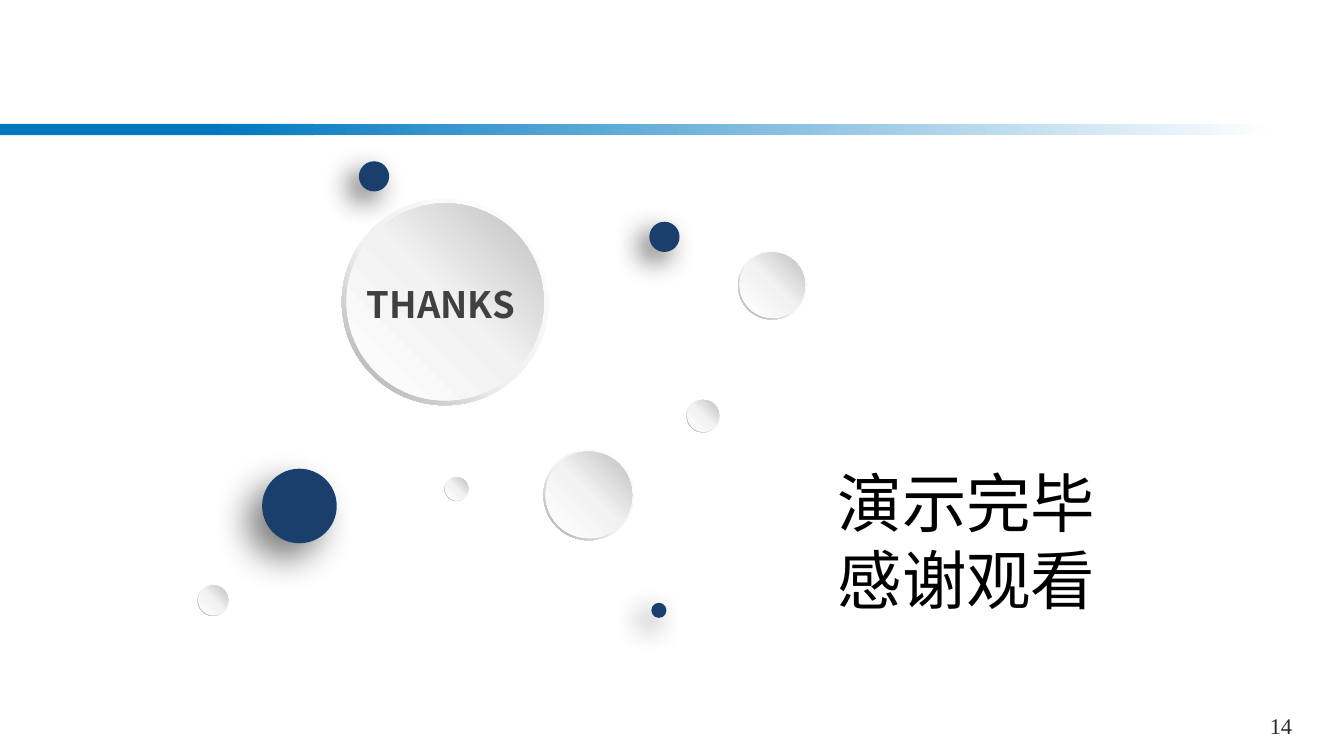
from lxml.etree import SubElement as Sub
from pptx import Presentation
from pptx.dml.color import RGBColor
from pptx.enum.shapes import MSO_SHAPE as Shape
from pptx.enum.text import MSO_ANCHOR as Anchor, MSO_AUTO_SIZE as AutoSize, PP_ALIGN as Align
from pptx.oxml.ns import qn
from pptx.util import Inches, Pt

COLORS = {"blue": "0078BF", "navy": "1A3F6C", "white": "FFFFFF", "pale": "F2F2F2",
          "silver": "BFBFBF", "gray": "A6A6A6", "dark": "404040", "number": "292929",
          "black": "000000"}
SANS, SERIF = "Noto Sans CJK SC", "Times New Roman"
RIM = 0.049
RIM_FILL = ([(0, "white"), (55, "pale"), (100, "gray")], 135)
FACE_FILL = ([(0, "white"), (51, "pale"), (100, "silver")], 315)
BAR_FILL = ([(0, "blue"), (100, "white")], 0)

# left, top, diameter
BUTTONS = [(3.39, 1.97, 2.05), (6.81, 3.96, 0.33), (7.32, 2.49, 0.68),
           (4.41, 4.73, 0.24), (1.96, 5.8, 0.31), (5.39, 4.46, 0.9)]
# left, top, diameter, shadow (opacity, blur, distance)
SMALL_SHADOW = (60, 20, 10)
DOTS = [(2.6, 4.65, 0.74, (50, 25, 15)), (3.56, 1.6, 0.3, SMALL_SHADOW),
        (6.44, 2.2, 0.3, SMALL_SHADOW), (6.46, 5.98, 0.15, SMALL_SHADOW)]


def rgb(name):
    """Return the named colour."""
    return RGBColor.from_string(COLORS[name])


def add_color(parent, name):
    """Add an RGB colour element under parent."""
    return Sub(parent, qn("a:srgbClr"), val=COLORS[name])


def fill_gradient(sp, stops, angle):
    """Give a shape a linear gradient with any number of stops."""
    sp.fill.gradient()
    grad = sp._element.spPr.find(qn("a:gradFill"))
    for child in list(grad):
        grad.remove(child)
    stop_list = Sub(grad, qn("a:gsLst"))
    for position, name in stops:
        add_color(Sub(stop_list, qn("a:gs"), pos=str(position * 1000)), name)
    Sub(grad, qn("a:lin"), ang=str(angle * 60000), scaled="0")


def add_shape(shapes, kind, box, fill):
    """Add a borderless shape with a plain or gradient fill."""
    sp = shapes.add_shape(kind, *map(Inches, box))
    sp.shadow.inherit = False
    sp.line.fill.background()
    if isinstance(fill, str):
        sp.fill.solid()
        sp.fill.fore_color.rgb = rgb(fill)
    else:
        fill_gradient(sp, *fill)
    return sp


def write_text(sp, box, lines, font, color, align=Align.LEFT, anchor=Anchor.TOP, wrap=False):
    """Place a text shape and write its formatted lines."""
    for name, value in zip(("left", "top", "width", "height"), box):
        setattr(sp, name, Inches(value))
    tf = sp.text_frame
    for name, value in {"word_wrap": wrap, "auto_size": AutoSize.NONE,
                        "vertical_anchor": anchor}.items():
        setattr(tf, name, value)
    tf.text = "\n".join(lines)
    for p in tf.paragraphs:
        p.alignment = align
        for r in p.runs:
            for name, value in font.items():
                setattr(r.font, name, value)
            r.font.color.rgb = rgb(color)
            Sub(r.font._element, qn("a:ea"), typeface=font["name"])


def add_header_bar(s, left, top, width, height):
    """Draw the header bar: a solid start that fades out to the right."""
    add_shape(s.shapes, Shape.RECTANGLE, (left, top, 3.11, height), "blue")
    fade = 2.11
    add_shape(s.shapes, Shape.RECTANGLE, (left + fade, top, width - fade, height), BAR_FILL)


def add_button(s, left, top, size):
    """Draw a raised round button: a shaded rim around a shaded face."""
    group = s.shapes.add_group_shape()
    rim = add_shape(group.shapes, Shape.DONUT, (left, top, size, size), RIM_FILL)
    rim.adjustments[0] = RIM
    inset = size * 0.023
    face = size - 2 * inset
    add_shape(group.shapes, Shape.OVAL, (left + inset, top + inset, face, face), FACE_FILL)


def add_dot(s, left, top, size, shadow):
    """Draw a navy dot that casts a soft shadow down and left."""
    sp = add_shape(s.shapes, Shape.OVAL, (left, top, size, size), "navy")
    opacity, blur, distance = shadow
    outer = Sub(sp._element.spPr.find(qn("a:effectLst")), qn("a:outerShdw"),
                blurRad=str(Pt(blur)), dist=str(Pt(distance)), dir=str(135 * 60000),
                algn="tr", rotWithShape="0")
    Sub(add_color(outer, "black"), qn("a:alpha"), val=str(opacity * 1000))


def add_bubbles(s, left, top):
    """Scatter buttons and dots, then label the large button."""
    first_left, first_top, size = BUTTONS[0]
    dx, dy = left - first_left, top - first_top
    for x, y, diameter in BUTTONS:
        add_button(s, x + dx, y + dy, diameter)
    for x, y, diameter, shadow in DOTS:
        add_dot(s, x + dx, y + dy, diameter, shadow)
    label = s.shapes.add_textbox(0, 0, 0, 0)
    write_text(label, (left + 0.15, top + 0.78, 1.78, 0.54), ["THANKS"],
               {"name": SANS, "size": Pt(26), "bold": True}, "dark")


def add_closing_slide(prs):
    """Build the closing slide."""
    s = prs.slides.add_slide(prs.slide_layouts[5])
    add_header_bar(s, 0, 1.23, 12.67, 0.11)
    add_bubbles(s, 3.39, 1.97)
    write_text(s.shapes.title, (8.21, 4.54, 2.78, 1.65), ["演示完毕", "感谢观看"],
               {"name": SANS, "size": Pt(46)}, "black")
    number = s.shapes.add_textbox(0, 0, 0, 0)
    write_text(number, (12.34, 6.95, 0.73, 0.5), ["14"], {"name": SERIF, "size": Pt(16)},
               "number", Align.CENTER, Anchor.MIDDLE, True)


prs = Presentation()
prs.slide_width, prs.slide_height = Inches(13.33), Inches(7.5)
add_closing_slide(prs)
prs.save("out.pptx")
